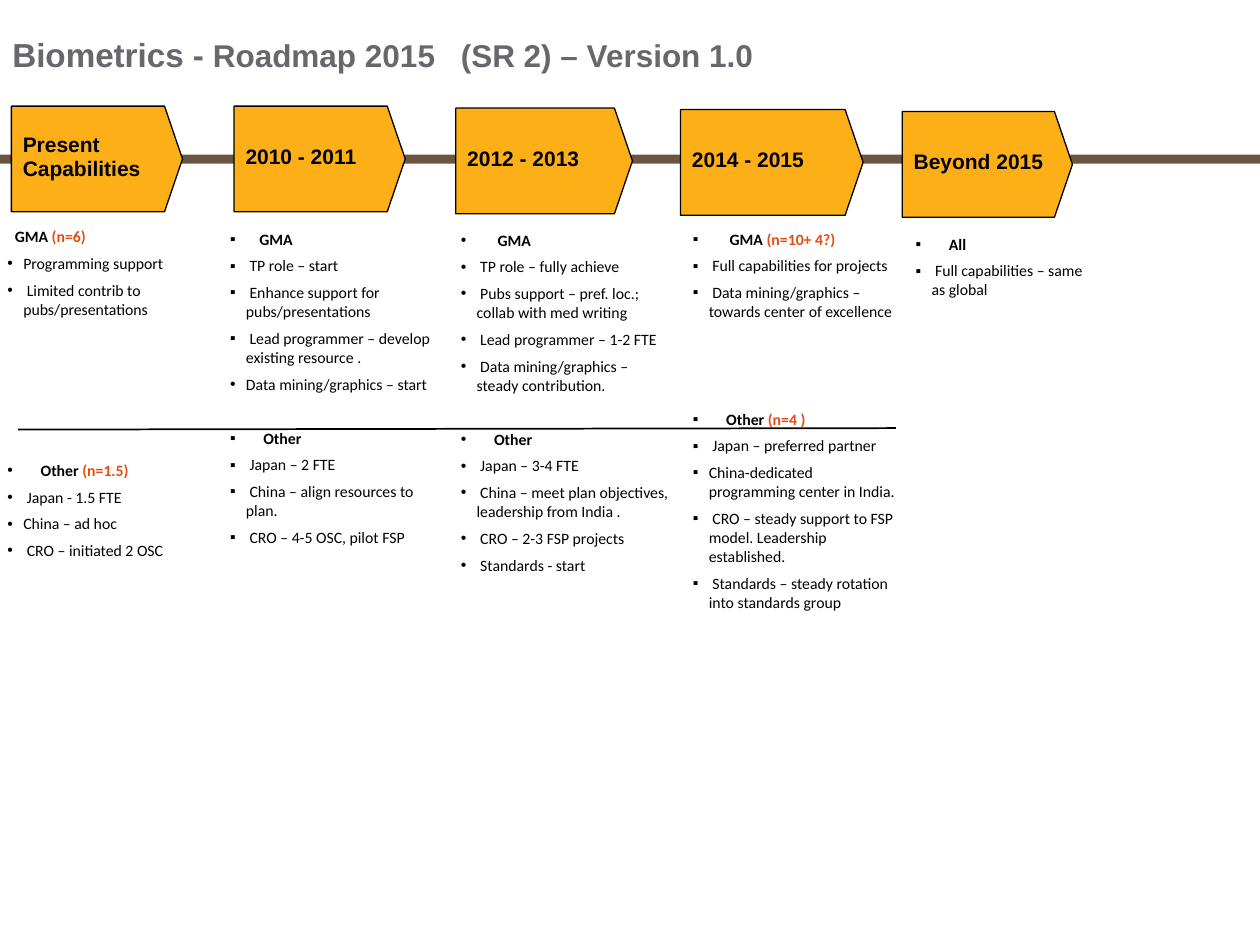
from dataclasses import dataclass

from lxml import etree
from pptx import Presentation
from pptx.dml.color import RGBColor
from pptx.enum.shapes import MSO_CONNECTOR, MSO_SHAPE
from pptx.enum.text import MSO_ANCHOR, MSO_AUTO_SIZE, PP_ALIGN
from pptx.oxml.ns import qn
from pptx.util import Cm, Pt

RECT = MSO_SHAPE.RECTANGLE
ARROW = MSO_SHAPE.PENTAGON
LINE = MSO_CONNECTOR.STRAIGHT
MIDDLE = MSO_ANCHOR.MIDDLE
LEFT = PP_ALIGN.LEFT
GROW = MSO_AUTO_SIZE.SHAPE_TO_FIT_TEXT


@dataclass(frozen=True)
class Theme:
    black: RGBColor = RGBColor(0x00, 0x00, 0x00)
    grey: RGBColor = RGBColor(0x69, 0x67, 0x6D)
    brown: RGBColor = RGBColor(0x6A, 0x55, 0x40)
    gold: RGBColor = RGBColor(0xFC, 0xAF, 0x17)
    red: RGBColor = RGBColor(0xE4, 0x4C, 0x16)
    head: str = "Arial"
    body: str = "Calibri"
    lead: float = 19
    title: float = 18
    label: float = 12
    text: float = 9
    after: float = 4.5
    row: float = 15.33


@dataclass(frozen=True)
class Box:
    left: float
    top: float
    width: float
    height: float

    def cm(self) -> tuple:
        return Cm(self.left), Cm(self.top), Cm(self.width), Cm(self.height)


@dataclass(frozen=True)
class Group:
    head: str
    count: str
    indent: float
    skip: int
    marks: str
    items: tuple


@dataclass(frozen=True)
class Stage:
    label: str
    arrow: Box
    notes: Box
    groups: tuple


THEME = Theme()
HANG = 0.32
NOSE = 0.17
TALL = 2.13

STAGES = (
    Stage("Present Capabilities", Box(0.23, 2.14, 3.45, TALL), Box(-0.1, 4.45, 4.95, 7.24), (
        Group("GMA", "(n=6)", 0.15, 0, " ••", (
            "Programming support", " Limited contrib to pubs/presentations")),
        Group("Other", "(n=1.5)", 0.67, 5, "••••", (
            " Japan - 1.5 FTE", "China – ad hoc", " CRO – initiated 2 OSC")),
    )),
    Stage("2010 - 2011", Box(4.72, 2.14, 3.45, TALL), Box(4.39, 4.5, 4.83, 7.47), (
        Group("GMA", "", 0.59, 0, "▪▪▪▪•", (
            " TP role – start", " Enhance support for pubs/presentations",
            " Lead programmer – develop existing resource .",
            "Data mining/graphics – start")),
        Group("Other", "", 0.67, 1, "▪▪▪▪", (
            " Japan – 2 FTE", " China – align resources to plan.",
            " CRO – 4-5 OSC, pilot FSP")),
    )),
    Stage("2012 - 2013", Box(9.19, 2.18, 3.56, TALL), Box(9.04, 4.52, 4.78, 8.03), (
        Group("GMA", "", 0.74, 0, "•••••", (
            " TP role – fully achieve",
            " Pubs support – pref. loc.; collab with med writing",
            " Lead programmer – 1-2 FTE",
            " Data mining/graphics – steady contribution.")),
        Group("Other", "", 0.67, 1, "•••••", (
            " Japan – 3-4 FTE",
            " China – meet plan objectives, leadership from India .",
            " CRO – 2-3 FSP projects", " Standards - start")),
    )),
    Stage("2014 - 2015", Box(13.72, 2.21, 3.68, TALL), Box(13.72, 4.5, 4.7, 9.88), (
        Group("GMA", "(n=10+ 4?)", 0.74, 0, "▪▪▪", (
            " Full capabilities for projects",
            " Data mining/graphics – towards center of excellence")),
        Group("Other", "(n=4 )", 0.67, 3, "▪▪▪▪▪", (
            " Japan – preferred partner",
            "China-dedicated programming center in India.",
            " CRO – steady support to FSP model. Leadership established.",
            " Standards – steady rotation into standards group")),
    )),
    Stage("Beyond 2015", Box(18.19, 2.25, 3.43, TALL), Box(18.21, 4.6, 4.19, 1.57), (
        Group("All", "", 0.67, 0, "▪▪", (
            " Full capabilities – same as global",)),
    )),
)


def style(font, name: str, size: float, color: RGBColor, bold: bool) -> None:
    font.name = name
    font.size = Pt(size)
    font.color.rgb = color
    font.bold = bold


def bullet(para, mark: str, indent: float) -> None:
    props = para._p.get_or_add_pPr()
    props.set("marL", str(Cm(indent)))
    if mark == " ":
        props.set("indent", "0")
        etree.SubElement(props, qn("a:buNone"))
        return
    props.set("indent", str(-Cm(indent)))
    color = etree.SubElement(props, qn("a:buClr"))
    etree.SubElement(color, qn("a:srgbClr"), val=str(THEME.black))
    etree.SubElement(props, qn("a:buFont"), typeface=THEME.head)
    etree.SubElement(props, qn("a:buChar"), char=mark)


def draw_title(slide) -> None:
    frame = slide.shapes.add_textbox(*Box(0.25, 0.69, 24.51, 0.81).cm()).text_frame
    frame.margin_left = frame.margin_right = frame.margin_top = frame.margin_bottom = 0
    frame.word_wrap = True
    frame.auto_size = GROW
    para = frame.paragraphs[0]
    tabs = etree.SubElement(para._p.get_or_add_pPr(), qn("a:tabLst"))
    etree.SubElement(tabs, qn("a:tab"), pos=str(Cm(9.04)), algn="l")
    style(para.font, THEME.head, THEME.title, THEME.grey, True)
    lead = para.add_run()
    lead.text = "Biometrics -"
    lead.font.size = Pt(THEME.lead)
    para.add_run().text = " Roadmap 2015\t(SR 2) – Version 1.0"


def draw_bar(slide) -> None:
    bar = slide.shapes.add_shape(RECT, *Box(0, 3.12, 25.4, 0.18).cm())
    bar.shadow.inherit = False
    bar.fill.solid()
    bar.fill.fore_color.rgb = THEME.brown
    bar.line.fill.background()


def draw_arrow(slide, stage: Stage) -> None:
    shape = slide.shapes.add_shape(ARROW, *stage.arrow.cm())
    shape.adjustments[0] = NOSE
    shape.shadow.inherit = False
    shape.fill.solid()
    shape.fill.fore_color.rgb = THEME.gold
    shape.line.color.rgb = THEME.black
    shape.line.width = Pt(0.75)
    frame = shape.text_frame
    frame.word_wrap = True
    frame.vertical_anchor = MIDDLE
    frame.margin_left = Cm(0.23)
    frame.margin_right = frame.margin_top = 0
    frame.margin_bottom = Cm(0.08)
    para = frame.paragraphs[0]
    para.text = stage.label
    para.alignment = LEFT
    para.line_spacing = 0.95
    style(para.font, THEME.head, THEME.label, THEME.black, True)


def draw_notes(slide, stage: Stage) -> None:
    frame = slide.shapes.add_textbox(*stage.notes.cm()).text_frame
    frame.word_wrap = True
    frame.auto_size = GROW
    para = frame.paragraphs[0]
    for group in stage.groups:
        for row, (mark, text) in enumerate(zip(group.marks, (group.head, *group.items))):
            first = row == 0
            if para.runs:
                para = frame.add_paragraph()
            para.level = 0 if first else 1
            bullet(para, mark, group.indent if first else HANG)
            para.space_after = Pt(THEME.after)
            style(para.font, THEME.body, THEME.text, THEME.black, first)
            para.add_run().text = text
            if first and group.skip:
                para.space_before = Pt(group.skip * THEME.row)
            if first and group.count:
                count = para.add_run()
                count.text = " " + group.count
                count.font.color.rgb = THEME.red


def draw_rule(slide) -> None:
    rule = slide.shapes.add_connector(LINE, Cm(0.36), Cm(8.66), Cm(18.06), Cm(8.63))
    rule.line.color.rgb = THEME.black
    rule.line.width = Pt(1)
    etree.SubElement(rule._element.spPr, qn("a:effectLst"))


def main() -> None:
    deck = Presentation()
    deck.slide_width, deck.slide_height = Cm(25.4), Cm(19.05)
    slide = deck.slides.add_slide(deck.slide_layouts[6])
    draw_bar(slide)
    draw_title(slide)
    for stage in STAGES:
        draw_notes(slide, stage)
        draw_arrow(slide, stage)
    draw_rule(slide)
    deck.save("out.pptx")


if __name__ == "__main__":
    main()
